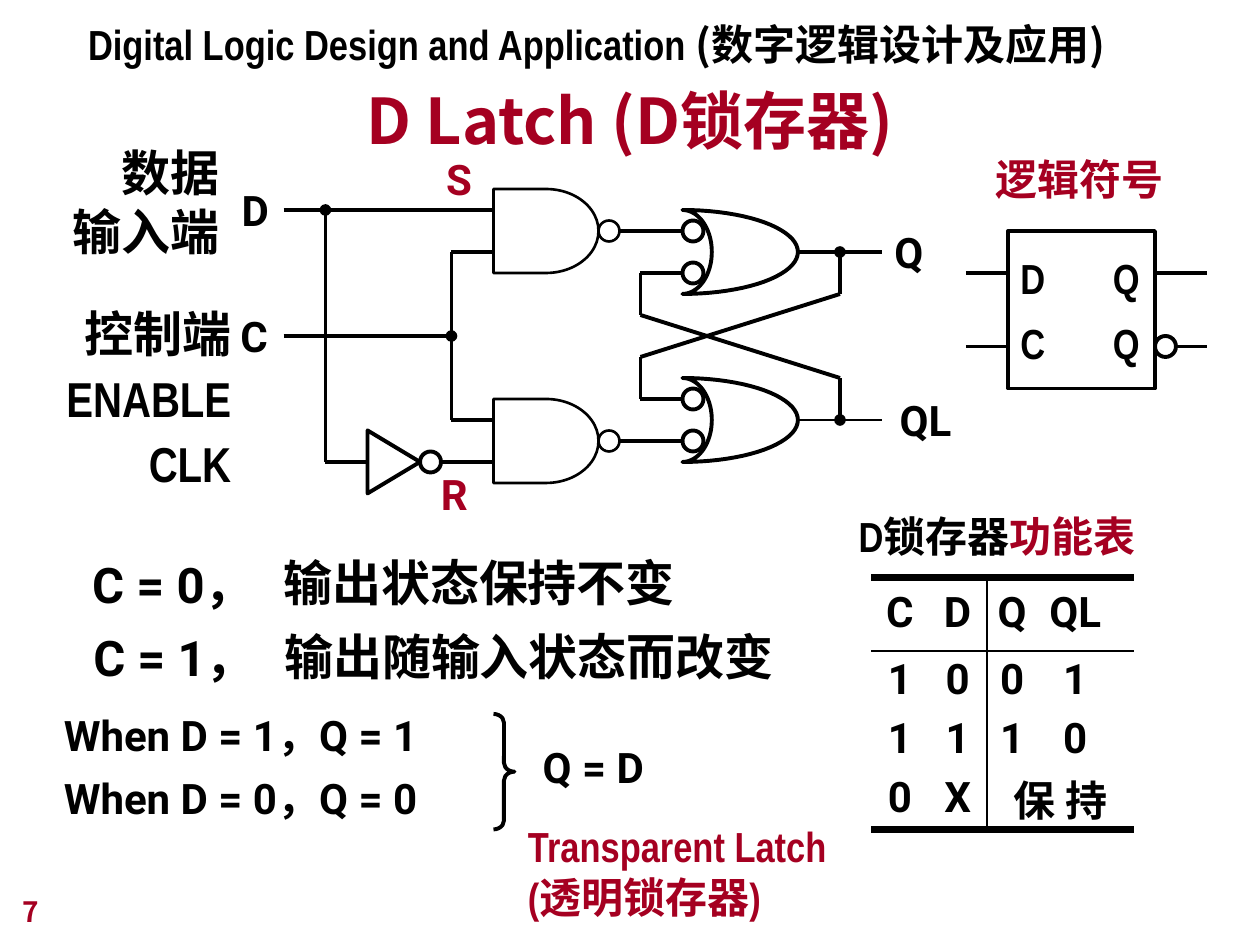
from math import cos, pi, sin
from lxml import etree
from pptx import Presentation, util as u
from pptx.dml.color import RGBColor
from pptx.enum import shapes as sh, text as tx
from pptx.oxml.ns import qn


class Theme:
    ink, red, white = "000000", "A50021", "FFFFFF"
    sans, thin, cjk = "Roboto", "Arial Narrow", "Noto Sans CJK JP"
    small, body, big, head = 16, 24, 28, 36
    fine, wire, bar = 1.5, 2.25, 4.5


# All places and sizes are counted in grid steps of a twelfth of an inch
STEP = 2.54 / 12
SHAPE = sh.MSO_SHAPE
RED = dict(color=Theme.red)
THIN = dict(font=Theme.thin)
BIG = dict(size=Theme.big)
RIGHT = dict(align="RIGHT")

# Text: box (left, top, width, height), paragraphs, format
LABELS = [
    ((9, 5.6, 102, 10), ["D Latch (D锁存器)"],
     dict(RED, font=Theme.cjk, size=Theme.head, align="CENTER", low=True)),
    ((7.2, 1.2, 100.9, 6),
     [[("Digital Logic Design and Application ", {}),
       ("(数字逻辑设计及应用)", dict(font=Theme.cjk))]], THIN),
    ((3.1, 13, 19, 12.5), ["数据", "输入端"], {**THIN, **BIG, **RIGHT}),
    ((0, 27.8, 23.2, 19.7), ["控制端", "ENABLE", "CLK"],
     dict(THIN, **BIG, **RIGHT, lead=1.1)),
    ((19.8, 17, 7, 6), ["D"], RIGHT),
    ((19.7, 29, 7, 6), ["C"], RIGHT),
    ((41.3, 14, 7, 6), ["S"], RED),
    ((40.8, 44, 7, 6), ["R"], RED),
    ((84, 21, 7, 6), ["Q"], {}),
    ((84.5, 37, 9, 6), ["QL"], {}),
    ((93.6, 14, 21, 6), ["逻辑符号"], {**THIN, **RED}),
    ((7.6, 52.2, 22, 6.8), ["C = 0，"], BIG),
    ((7.7, 59.2, 22, 6.8), ["C = 1，"], BIG),
    ((25.8, 52, 44, 6.8), ["输出状态保持不变"], BIG),
    ((25.9, 58, 53, 7.9), ["输出随输入状态而改变"], dict(BIG, lead=1.2)),
    ((4.9, 67, 42, 6), ["When D = 1，Q = 1"], {}),
    ((4.9, 73, 42, 6), ["When D = 0，Q = 0"], {}),
    ((50.5, 70, 15, 6), ["Q = D"], {}),
    ((49.1, 77.6, 34, 10.8), ["Transparent Latch", "(透明锁存器)"], {**THIN, **RED}),
    ((80.6, 48, 34, 6), [[("D锁存器", {}), ("功能表", RED)]], THIN),
    ((1, 83, 25, 6), ["7"],
     dict(RED, font=Theme.cjk, size=Theme.small, low=True)),
]

# Wires: from x, y to x, y
WIRES = [
    (27, 20, 47, 20), (31, 44, 35, 44), (42, 44, 47, 44),
    (43, 24, 47, 24), (43, 24, 43, 40), (43, 40, 47, 40),
    (59, 22, 65, 22), (59, 42, 65, 42), (76, 24, 84, 24),
    (61, 26, 65, 26), (61, 26, 61, 30), (61, 30, 80, 36),
    (61, 38, 65, 38), (61, 34, 61, 38), (61, 34, 80, 28),
    (92, 26, 96, 26), (92, 33, 96, 33), (110, 26, 115, 26), (112, 33, 115, 33),
]
# Wires that end in a junction dot
DOTTED = [(31, 44, 31, 20), (27, 32, 43, 32), (80, 28, 80, 24), (80, 36, 80, 40)]

TRUTH = [["C", "D", "Q", "QL"], ["1", "0", "0", "1"],
         ["1", "1", "1", "0"], ["0", "X", "保 持", ""]]
EDGES = [83, 88.4, 94, 98.8, 108]
ROWS = [7] + [17 / 3] * 3
RULES = [Theme.bar, Theme.fine, 0, 0, Theme.bar]
POSTS = [0, 0, Theme.fine, 0, 0]

deck = Presentation()
deck.slide_width, deck.slide_height = u.Cm(25.4), u.Cm(19.05)
slide = deck.slides.add_slide(deck.slide_layouts[6])
pen = slide.shapes


def grid(*nums):
    return [u.Cm(n * STEP) for n in nums]


def write(frame, paras, font=Theme.sans, size=Theme.body, color=Theme.ink,
          align="LEFT", lead=None, low=False, wrap=True, tab=None):
    frame.word_wrap = wrap
    frame.vertical_anchor = tx.MSO_ANCHOR.BOTTOM if low else tx.MSO_ANCHOR.TOP
    for i, runs in enumerate(paras):
        para = frame.add_paragraph() if i else frame.paragraphs[0]
        para.alignment = getattr(tx.PP_ALIGN, align)
        if lead:
            para.line_spacing = lead
        if tab:
            stops = etree.SubElement(para._p.get_or_add_pPr(), qn("a:tabLst"))
            etree.SubElement(stops, qn("a:tab"), pos=str(grid(tab)[0]), algn="l")
        for words, own in [(runs, {})] if isinstance(runs, str) else runs:
            run = para.add_run()
            run.text = words
            run.font.name = own.get("font", font)
            run.font.size = u.Pt(size)
            run.font.bold = True
            run.font.color.rgb = RGBColor.from_string(own.get("color", color))
            etree.SubElement(run._r.get_or_add_rPr(), qn("a:ea"), typeface=Theme.cjk)


def ink(item, width):
    item.line.color.rgb = RGBColor.from_string(Theme.ink)
    item.line.width = u.Pt(width)


def style(item, width=Theme.wire, fill=None):
    item.shadow.inherit = False
    if fill:
        item.fill.solid()
        item.fill.fore_color.rgb = RGBColor.from_string(fill)
    else:
        item.fill.background()
    ink(item, width)
    return item


def part(kind, *box, **look):
    return style(pen.add_shape(kind, *grid(*box)), **look)


def wire(*ends, width=Theme.wire, dot=False):
    line = pen.add_connector(sh.MSO_CONNECTOR.STRAIGHT, *grid(*ends))
    ink(line, width)
    if dot:
        etree.SubElement(line.line._get_or_add_ln(), qn("a:tailEnd"), type="oval")
    etree.SubElement(line._element.spPr, qn("a:effectLst"))


def arc(x, y, wide, tall):
    turns = [pi * (k / 40 - 0.5) for k in range(41)]
    return [tuple(grid(x + wide * cos(t), y + tall * sin(t))) for t in turns]


def gate(x, y):
    front, back = arc(x, y, 11, 4), arc(x, y, 2.8, 4)
    path = pen.build_freeform(*front[0], scale=1.0)
    path.add_line_segments(front[1:] + back[::-1], close=True)
    style(path.convert_to_shape())


def border(cell, **sides):
    props = cell._tc.get_or_add_tcPr()
    for i, (side, width) in enumerate(sides.items()):
        line = etree.Element(qn("a:ln" + side), w=str(u.Pt(width)))
        fill = etree.SubElement(line, qn("a:solidFill" if width else "a:noFill"))
        if width:
            etree.SubElement(fill, qn("a:srgbClr"), val=Theme.ink)
        props.insert(i, line)


# Circuit: wires, then the two halves of the latch
for ends in WIRES:
    wire(*ends)
for ends in DOTTED:
    wire(*ends, dot=True)
wire(76, 40, 84, 40, width=Theme.fine)
for y in (18, 38):
    part(SHAPE.FLOWCHART_DELAY, 47, y, 10, 8, width=Theme.fine)
    part(SHAPE.OVAL, 57, y + 3, 2, 2, width=Theme.fine)
for y in (24, 40):
    gate(65, y)
    for top in (y - 3, y + 1):
        part(SHAPE.OVAL, 65, top, 2, 2, fill=Theme.white)

# Inverter
part(SHAPE.ISOSCELES_TRIANGLE, 34.5, 41.5, 6, 5, fill=Theme.white).rotation = 90
part(SHAPE.OVAL, 40, 43, 2, 2, fill=Theme.white)

# Logic symbol
block = part(SHAPE.RECTANGLE, 96, 22, 14, 15)
write(block.text_frame, ["D\tQ", "C\tQ"], font=Theme.thin, lead=1.3, tab=8.8, wrap=False)
part(SHAPE.OVAL, 110, 32, 2, 2)

# Brace
part(SHAPE.RIGHT_BRACE, 47, 68, 2, 11).adjustments[0] = 0.42

# Function table
table = pen.add_table(4, 4, *grid(EDGES[0], 55, EDGES[-1] - EDGES[0], sum(ROWS))).table
table.first_row = table.horz_banding = False
table._tbl.tblPr.find(qn("a:tableStyleId")).text = "{2D5ABB26-0587-4C30-8999-92F81FD0307C}"
for col, a, b in zip(table.columns, EDGES, EDGES[1:]):
    col.width = grid(b - a)[0]
for row, tall in zip(table.rows, ROWS):
    row.height = grid(tall)[0]
table.cell(3, 2).merge(table.cell(3, 3))
for r, words in enumerate(TRUTH):
    for c, word in enumerate(words):
        cell = table.cell(r, c)
        cell.margin_left = cell.margin_right = cell.margin_top = cell.margin_bottom = 0
        if c == 3:
            cell.margin_right = grid(2)[0]
        cell.fill.background()
        if word:
            write(cell.text_frame, [word], align="CENTER", lead=0.9)
        cell.vertical_anchor = tx.MSO_ANCHOR.MIDDLE
        border(cell, L=POSTS[c], R=POSTS[c + 1], T=RULES[r], B=RULES[r + 1])

# Labels
for box, paras, look in LABELS:
    label = pen.add_textbox(*grid(*box)).text_frame
    write(label, paras, **look)
    if not look.get("low"):
        label.auto_size = tx.MSO_AUTO_SIZE.SHAPE_TO_FIT_TEXT

deck.save("out.pptx")
